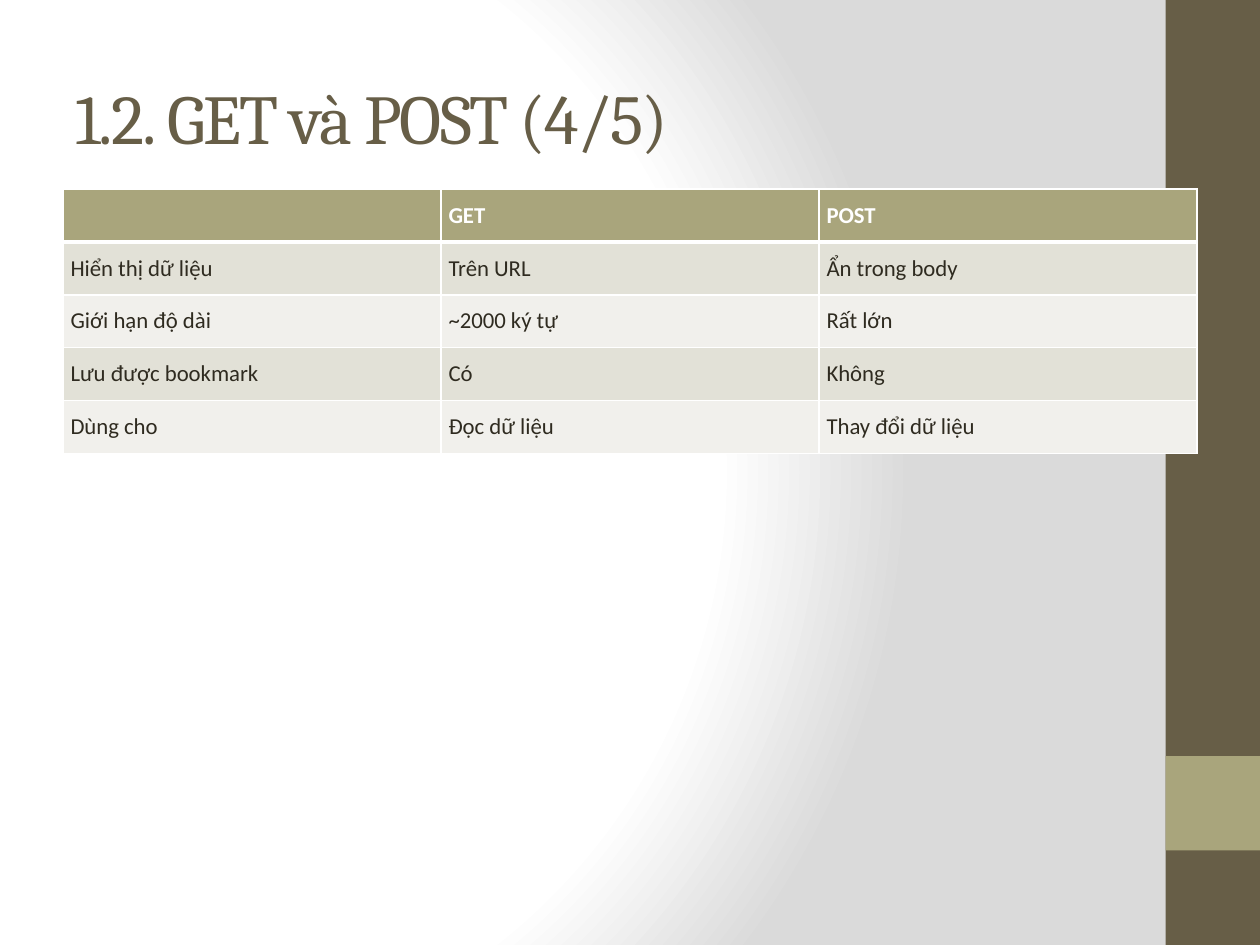
import pptx
import pptx.dml.color
import pptx.enum.shapes
import pptx.enum.text
import pptx.oxml
import pptx.oxml.ns
import pptx.util
from dataclasses import dataclass


@dataclass(frozen=True)
class Theme:
    """Colours, fonts and type sizes."""
    dark: str = "675E47"
    sage: str = "A9A57C"
    ink: str = "2F2B20"
    white: str = "FFFFFF"
    grey: str = "DADADA"
    bands: tuple = ("E2E1D7", "F1F0EC")
    head: str = "Cambria"
    body: str = "Calibri"
    big: int = 40
    small: int = 13


LOOK = Theme()
WIDE, HIGH = 10, 7.5
ROWS = [
    ("", "GET", "POST"),
    ("Hiển thị dữ liệu", "Trên URL", "Ẩn trong body"),
    ("Giới hạn độ dài", "~2000 ký tự", "Rất lớn"),
    ("Lưu được bookmark", "Có", "Không"),
    ("Dùng cho", "Đọc dữ liệu", "Thay đổi dữ liệu"),
]


def box(*sides):
    """Turn inches into lengths."""
    return [pptx.util.Inches(side) for side in sides]


def node(text):
    """Parse one drawing element."""
    space = pptx.oxml.ns.nsdecls("a")
    return pptx.oxml.parse_xml(text.replace(" ", f" {space} ", 1))


def apply(thing, form):
    """Set each format value on an object."""
    for name, value in form.items():
        setattr(thing, name, value)


def paint(fill, tint):
    """Give a fill one solid colour."""
    fill.solid()
    fill.fore_color.rgb = pptx.dml.color.RGBColor.from_string(tint)


def write(frame, text, tint, **form):
    """Write one run of styled text."""
    run = frame.paragraphs[0].add_run()
    run.text = text
    apply(run.font, form)
    run.font.color.rgb = pptx.dml.color.RGBColor.from_string(tint)
    return run


def shade(slide):
    """Give the slide its round gradient."""
    slide.background.fill.gradient()
    grad = slide.element.find(".//" + pptx.oxml.ns.qn("a:gradFill"))
    for child in list(grad):
        grad.remove(child)
    stops = "".join(
        f'<a:gs pos="{share * 1000}"><a:srgbClr val="{tint}"/></a:gs>'
        for share, tint in ((0, LOOK.white), (75, LOOK.white), (100, LOOK.grey)))
    grad.append(node(f'<a:gsLst >{stops}</a:gsLst>'))
    grad.append(node('<a:path path="circle"><a:fillToRect l="20000" t="50000" '
                     'r="100000" b="50000"/></a:path>'))


def block(slide, tint, *place):
    """Add a plain filled block."""
    shape = slide.shapes.add_shape(
        pptx.enum.shapes.MSO_SHAPE.RECTANGLE, *box(*place))
    shape.shadow.inherit = False
    paint(shape.fill, tint)
    shape.line.fill.background()


def title(slide, text, *place):
    """Add the slide title."""
    frame = slide.shapes.add_textbox(*box(*place)).text_frame
    apply(frame, {"word_wrap": True,
                  "vertical_anchor": pptx.enum.text.MSO_ANCHOR.MIDDLE})
    run = write(frame, text, LOOK.dark, name=LOOK.head,
                size=pptx.util.Pt(LOOK.big))
    run.font._element.set("spc", "-100")


def edge(cell, base):
    """Draw white borders around a cell."""
    props = cell._tc.get_or_add_tcPr()
    for side, width in (("L", 1), ("R", 1), ("T", 1), ("B", base)):
        props.append(node(
            f'<a:ln{side} w="{pptx.util.Pt(width)}"><a:solidFill>'
            f'<a:srgbClr val="{LOOK.white}"/></a:solidFill></a:ln{side}>'))


def grid(slide, rows, left, top, width, height):
    """Add the table with its header and bands."""
    table = slide.shapes.add_table(
        len(rows), len(rows[0]), *box(left, top, width, height)).table
    wide, thin = box(0.06, 0.03)
    form = {"margin_left": wide, "margin_right": wide, "margin_top": thin,
            "margin_bottom": thin,
            "vertical_anchor": pptx.enum.text.MSO_ANCHOR.MIDDLE}
    for r, row in enumerate(rows):
        first = r == 0
        for c, text in enumerate(row):
            cell = table.cell(r, c)
            apply(cell, form)
            edge(cell, 3 if first else 1)
            paint(cell.fill, LOOK.sage if first else LOOK.bands[(r - 1) % 2])
            if text:
                write(cell.text_frame, text, LOOK.white if first else LOOK.ink,
                      name=LOOK.body, size=pptx.util.Pt(LOOK.small), bold=first)


def main():
    """Build and save the slide."""
    deck = pptx.Presentation()
    deck.slide_width, deck.slide_height = box(WIDE, HIGH)
    slide = deck.slides.add_slide(deck.slide_layouts[6])
    shade(slide)
    side = HIGH / 10
    block(slide, LOOK.dark, WIDE - side, 0, side, HIGH)
    block(slide, LOOK.sage, WIDE - side, HIGH * 0.8, side, side)
    title(slide, "1.2. GET và POST (4/5)", WIDE * 0.05, 0.3, 8.33, 1.25)
    grid(slide, ROWS, WIDE * 0.05, HIGH * 0.2, WIDE * 0.9, HIGH * 0.28)
    deck.save("out.pptx")


if __name__ == "__main__":
    main()
